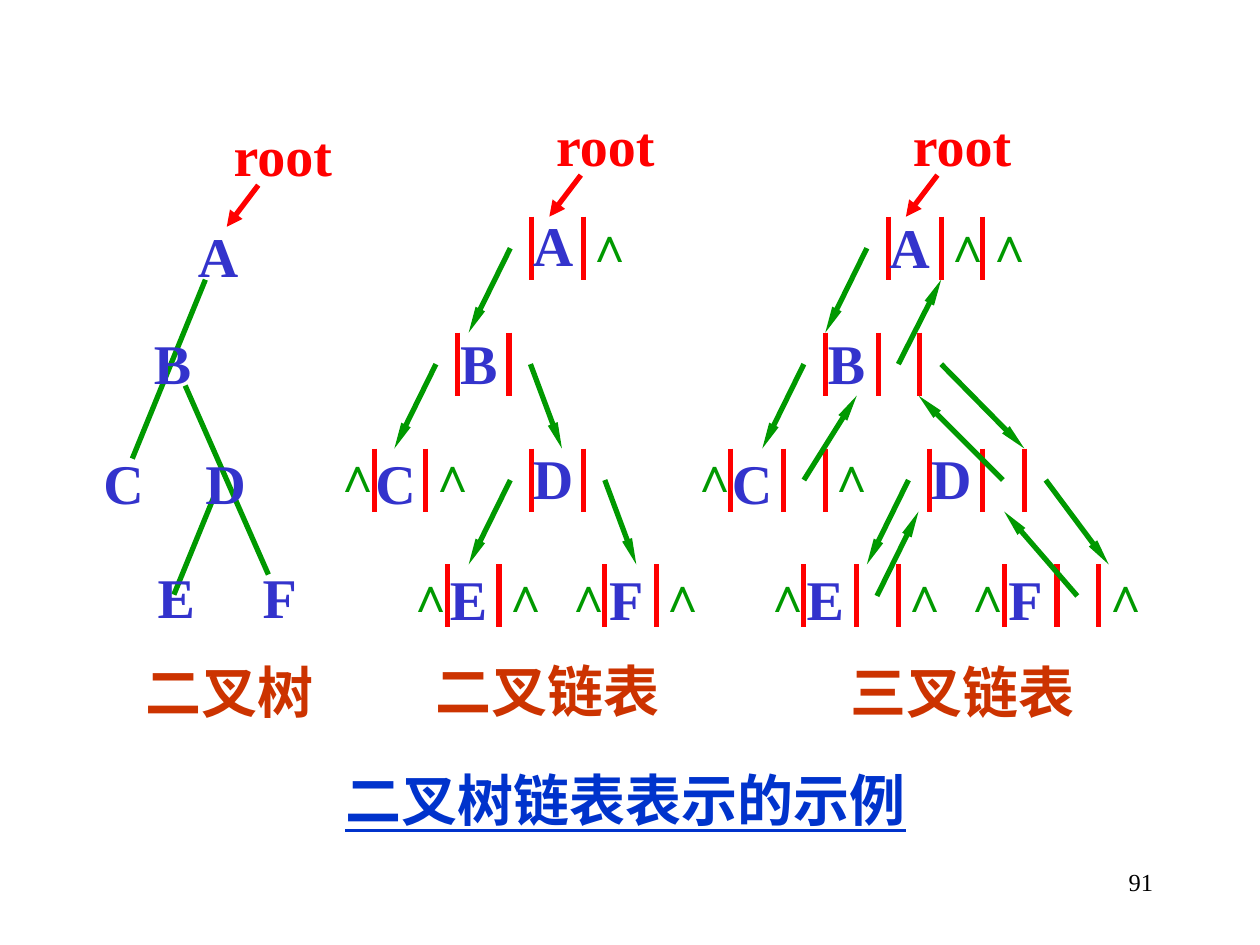
from lxml.etree import SubElement
from pptx import Presentation
from pptx.dml.color import RGBColor
from pptx.enum.shapes import MSO_CONNECTOR as CONN
from pptx.enum.text import MSO_ANCHOR as ANCHOR, MSO_AUTO_SIZE as FIT, PP_ALIGN as ALIGN
from pptx.oxml.ns import qn
from pptx.util import Inches, Pt

GREEN = RGBColor(0x00, 0x99, 0x00)
RED = RGBColor(0xFF, 0x00, 0x00)
INDIGO = RGBColor(0x33, 0x33, 0xCC)
RUST = RGBColor(0xCC, 0x33, 0x00)
BLUE = RGBColor(0x00, 0x33, 0xCC)
BLACK = RGBColor(0x00, 0x00, 0x00)
LATIN, CJK = "Times New Roman", "Noto Sans CJK SC"
LEVEL, BAR = 0.92, 0.5
NIL_DY = (-0.08, -0.08, -0.09, -0.06)

LETTER = {"name": LATIN, "size": Pt(32), "bold": True, "color": INDIGO}
NIL = {**LETTER, "size": Pt(28), "color": GREEN}
ROOT = {**LETTER, "color": RED}
CAPTION = {**LETTER, "name": CJK, "color": RUST}
TITLE = {**LETTER, "color": BLUE, "underline": True}
NUMBER = {"name": LATIN, "size": Pt(14), "bold": False, "color": BLACK}


def add_line(s, x1, y1, x2, y2, color, arrow=None, narrow=True):
    line = s.shapes.add_connector(CONN.STRAIGHT, Inches(x1), Inches(y1), Inches(x2), Inches(y2))
    line.line.color.rgb = color
    line.line.width = Pt(3)
    if arrow:
        end = SubElement(line.line._get_or_add_ln(), qn(f"a:{arrow}"), type="triangle")
        if narrow:
            end.set("w", "sm")
            end.set("len", "lg")
    SubElement(line._element.spPr, qn("a:effectLst"))


def add_text(s, text, box, style, align=ALIGN.CENTER, anchor=ANCHOR.MIDDLE, wrap=False, fit=FIT.SHAPE_TO_FIT_TEXT):
    tf = s.shapes.add_textbox(*map(Inches, box)).text_frame
    tf.word_wrap, tf.auto_size, tf.vertical_anchor = wrap, fit, anchor
    p = tf.paragraphs[0]
    p.alignment = align
    r = p.add_run()
    r.text = text
    for key, value in style.items():
        if key == "color":
            r.font.color.rgb = value
        else:
            setattr(r.font, key, value)
    if style["name"] == CJK:
        SubElement(r._r.get_or_add_rPr(), qn("a:ea"), typeface=CJK)


def add_letter(s, letter, center, top):
    width = {"B": 0.5, "E": 0.5, "F": 0.47}.get(letter, 0.52)
    add_text(s, letter, (center - width / 2, top, width, 0.63), LETTER)


def add_root(s, x, y):
    add_line(s, x, y, x - 0.25, y + 0.33, RED, "tailEnd", narrow=False)
    add_text(s, "root", (x - 0.3, y - 0.56, 0.99, 0.63), ROOT)


def add_caption(s, text, left, top, width):
    add_text(s, text, (left, top, width, 0.63), CAPTION, ALIGN.LEFT, wrap=True)


def add_tree(s, left, top):
    edges = [(1.0, 2.17, 0.66, 3.0), (0.75, 1.34, 1.41, 2.84), (0.91, 0.5, 0.33, 1.92)]
    for x1, y1, x2, y2 in edges:
        add_line(s, left + x1, top + y1, left + x2, top + y2, GREEN)
    letters = [("A", 1.01, -0.01), ("B", 0.65, 0.84), ("C", 0.26, 1.79),
               ("D", 1.07, 1.79), ("E", 0.68, 2.7), ("F", 1.5, 2.7)]
    for letter, x, y in letters:
        add_letter(s, letter, left + x, top + y)
    add_root(s, left + 1.33, top - 0.25)
    add_caption(s, "二叉树", left + 0.34, top + 3.45, 1.57)


def add_linked_list(s, left, top, bars, nodes):
    for letter, level, x, dy, left_dx, right_dx, parent_dx in nodes:
        x, y = left + x, top + level * LEVEL
        mid, last = y + BAR / 2, x + bars[-1]
        for bar in bars:
            add_line(s, x + bar, y, x + bar, y + BAR, RED)
        nils = []
        if left_dx:
            add_line(s, x - 0.17, mid, x - 0.17 + left_dx, mid + 0.67, GREEN, "tailEnd")
        elif level:
            nils.append(x - 0.2)
        if right_dx:
            add_line(s, last + 0.17, mid, last + 0.17 + right_dx, mid + 0.67, GREEN, "tailEnd")
        else:
            nils.append(last + 0.14)
        if len(bars) == 3:
            field = x + bars[1] + 0.16
            if parent_dx:
                add_line(s, field + parent_dx, mid - 0.67, field, mid, GREEN, "headEnd")
            else:
                nils.append(x + bars[1] + 0.14)
        for center in nils:
            add_text(s, "∧", (center - 0.22, y + NIL_DY[level], 0.44, 0.57), NIL)
        add_letter(s, letter, x + 0.17, y + dy)
        if level == 0:
            add_root(s, x + 0.39, y - 0.33)


def add_binary_list(s, left, top):
    nodes = [("A", 0, 1.25, -0.1, -0.33, 0, 0), ("B", 1, 0.66, -0.08, -0.33, 0.25, 0),
             ("C", 2, 0, -0.05, 0, 0, 0), ("D", 2, 1.25, -0.09, -0.33, 0.25, 0),
             ("E", 3, 0.58, -0.05, 0, 0, 0), ("F", 3, 1.83, -0.05, 0, 0, 0)]
    add_linked_list(s, left, top, (0, 0.41), nodes)
    add_caption(s, "二叉链表", left + 0.39, top + 3.44, 2.13)


def add_ternary_list(s, left, top):
    nodes = [("A", 0, 1.25, -0.08, -0.33, 0, 0), ("B", 1, 0.75, -0.08, -0.33, 0.66, 0.34),
             ("C", 2, 0, -0.05, 0, 0, 0.42), ("D", 2, 1.58, -0.09, -0.33, 0.5, -0.67),
             ("E", 3, 0.58, -0.05, 0, 0, 0.33), ("F", 3, 2.17, -0.05, 0, 0, -0.58)]
    add_linked_list(s, left, top, (0, 0.42, 0.75), nodes)
    add_caption(s, "三叉链表", left + 0.85, top + 3.45, 2.12)


def main():
    prs = Presentation()
    prs.slide_width, prs.slide_height = Inches(10), Inches(7.5)
    s = prs.slides.add_slide(prs.slide_layouts[6])
    add_tree(s, 0.72, 1.72)
    add_binary_list(s, 2.97, 1.72)
    add_ternary_list(s, 5.8, 1.72)
    add_text(s, "二叉树链表表示的示例", (2.64, 6.03, 4.73, 0.63), TITLE, ALIGN.LEFT, ANCHOR.TOP, wrap=True)
    add_text(s, "91", (7.17, 6.83, 2.08, 0.5), NUMBER, ALIGN.RIGHT, ANCHOR.TOP, wrap=True, fit=FIT.NONE)
    prs.save("out.pptx")


if __name__ == "__main__":
    main()
